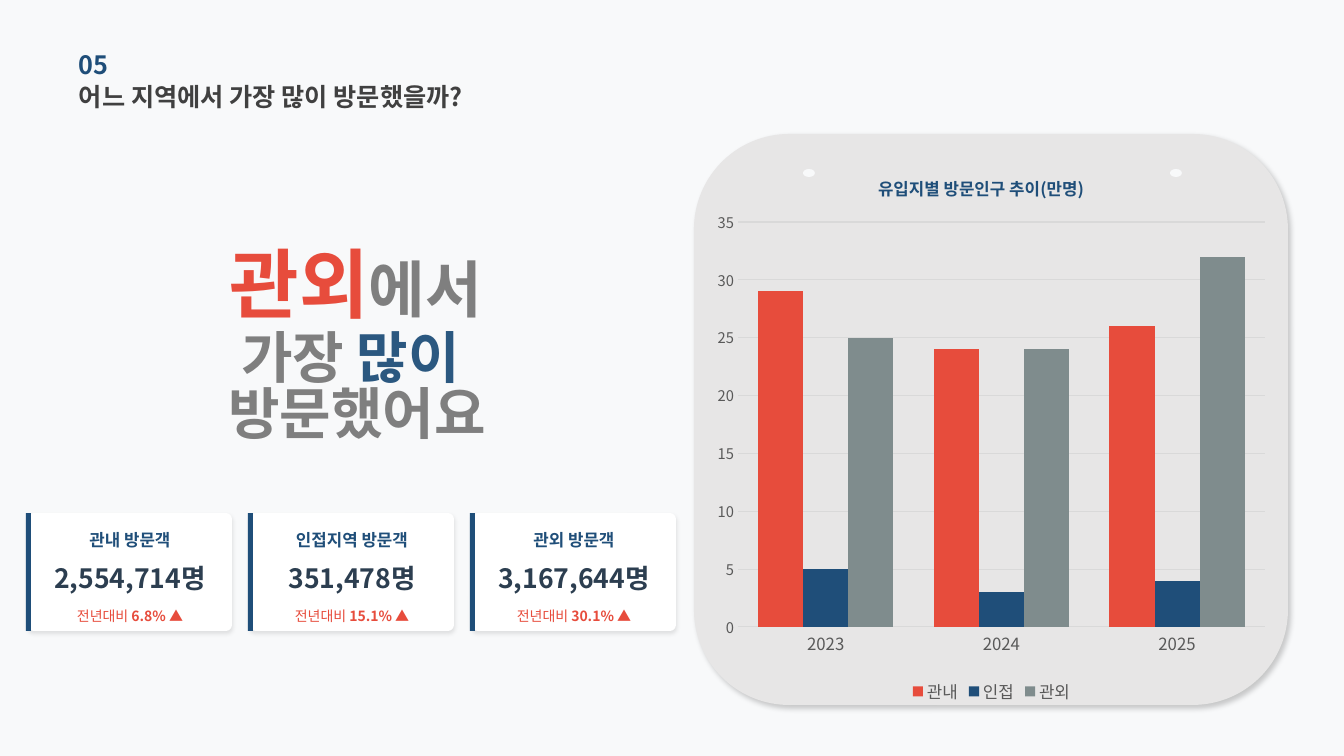
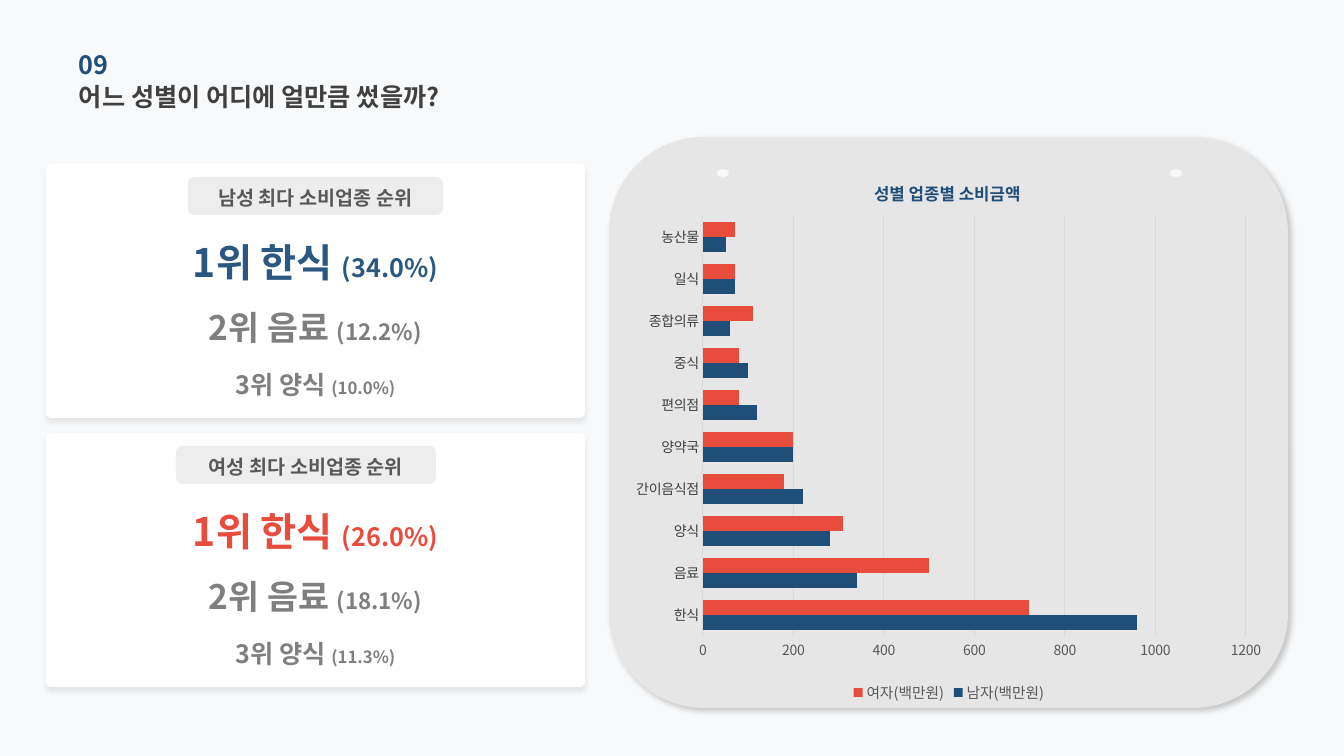
import pptx
import pptx.chart.data
import pptx.dml.color
import pptx.enum.chart
import pptx.enum.shapes
import pptx.enum.text
import pptx.oxml
import pptx.oxml.ns
import pptx.util

RGB = pptx.dml.color.RGBColor
SHAPE = pptx.enum.shapes.MSO_SHAPE
ALIGN = pptx.enum.text.PP_ALIGN
CHART = pptx.enum.chart.XL_CHART_TYPE
Pt = pptx.util.Pt
qn = pptx.oxml.ns.qn

PX = 914400 / 100.8
FONT = "Noto Sans CJK KR"
BACKGROUND = RGB(0xF8, 0xF9, 0xFA)
PANEL = RGB(0xE7, 0xE6, 0xE6)
WHITE = RGB(0xFF, 0xFF, 0xFF)
PILL = RGB(0xEE, 0xED, 0xED)
NAVY = RGB(0x1F, 0x4E, 0x79)
BLUE = RGB(0x2B, 0x58, 0x80)
RED = RGB(0xE7, 0x4C, 0x3C)
SLATE = RGB(0x7F, 0x8C, 0x8D)
INK = RGB(0x2C, 0x3E, 0x50)
DARK = RGB(0x40, 0x40, 0x40)
TEXT = RGB(0x59, 0x59, 0x59)
GRAY = RGB(0x7F, 0x7F, 0x7F)
GRID = RGB(0xD9, 0xD9, 0xD9)


def add_shape(s, kind, x, y, w, h, fill, corner=None, shadow=None):
    """Lengths in px; shadow is opacity in %, blur and distance in pt, angle."""
    sp = s.shapes.add_shape(kind, *(round(v * PX) for v in (x, y, w, h)))
    sp.fill.solid()
    sp.fill.fore_color.rgb = fill
    sp.line.fill.background()
    sp.shadow.inherit = False
    if corner is not None:
        sp.adjustments[0] = corner
    if shadow:
        opacity, blur, distance, angle = shadow
        sp.element.spPr.find(qn("a:effectLst")).append(pptx.oxml.parse_xml(
            f'<a:outerShdw {pptx.oxml.ns.nsdecls("a")} blurRad="{Pt(blur)}" '
            f'dist="{Pt(distance)}" dir="{angle * 60000}" algn="tl" rotWithShape="0">'
            f'<a:srgbClr val="000000"><a:alpha val="{opacity * 1000}"/></a:srgbClr>'
            '</a:outerShdw>'))
    return sp


def add_text(s, x, y, w, h, *lines, align=ALIGN.CENTER, spacing=None):
    """Each line is a list of runs: (text, size, colour) or (..., bold)."""
    tf = s.shapes.add_textbox(*(round(v * PX) for v in (x, y, w, h))).text_frame
    tf.word_wrap = True
    tf.margin_left = tf.margin_right = tf.margin_top = tf.margin_bottom = 0
    tf.vertical_anchor = pptx.enum.text.MSO_ANCHOR.MIDDLE
    for i, line in enumerate(lines):
        p = tf.add_paragraph() if i else tf.paragraphs[0]
        p.alignment = align
        p.line_spacing = spacing
        for text, size, color, *bold in line:
            r = p.add_run()
            r.text = text
            r.font.name = FONT
            r.font.size = Pt(size)
            r.font.color.rgb = color
            r.font.bold = bold[0] if bold else True


SLIDES = [
    dict(number="05", title="어느 지역에서 가장 많이 방문했을까?",
         panel=(694, 134, 594, 571), holes=803,
         kind=CHART.COLUMN_CLUSTERED, frame=(706, 149, 571, 559),
         plot=(738, 222, 527, 405), heading="유입지별 방문인구 추이(만명)", heading_at=(875, 170),
         top=35, step=5, gap=90, sizes=(12, 10.5, 12), label_color=TEXT,
         categories=["2023", "2024", "2025"],
         series=[("관내", RED, (29, 24, 26)),
                 ("인접", NAVY, (5, 3, 4)),
                 ("관외", SLATE, (25, 24, 32))]),
    dict(number="09", title="어느 성별이 어디에 얼만큼 썼을까?",
         panel=(609, 137, 679, 571), holes=717,
         kind=CHART.BAR_CLUSTERED, frame=(624, 153, 650, 554),
         plot=(703, 216, 543, 420), heading="성별 업종별 소비금액", heading_at=(871, 175),
         top=1200, step=200, gap=80, sizes=(10, 10, 10.5), label_color=DARK,
         categories=["한식", "음료", "양식", "간이음식점", "양약국",
                     "편의점", "중식", "종합의류", "일식", "농산물"],
         series=[("남자(백만원)", NAVY, (960, 340, 280, 220, 200, 120, 100, 60, 70, 50)),
                 ("여자(백만원)", RED, (720, 500, 310, 180, 200, 80, 80, 110, 70, 70))]),
]

prs = pptx.Presentation()
prs.slide_width = round(1344 * PX)
prs.slide_height = round(756 * PX)
roots = []

# Shared frame: heading, grey panel and chart
for d in SLIDES:
    s = prs.slides.add_slide(prs.slide_layouts[6])
    s.background.fill.solid()
    s.background.fill.fore_color.rgb = BACKGROUND
    add_shape(s, SHAPE.ROUNDED_RECTANGLE, *d["panel"], PANEL, shadow=(20, 4, 3, 45))
    add_text(s, 79, 76, 532, 41, [(d["title"], 18, DARK)], align=ALIGN.LEFT)
    add_text(s, 79, 44, 456, 41, [(d["number"], 18, NAVY)], align=ALIGN.LEFT)
    for x in (d["holes"], 1170):
        add_shape(s, SHAPE.OVAL, x, 169, 12, 8, BACKGROUND)

    data = pptx.chart.data.CategoryChartData()
    data.categories = d["categories"]
    for name, _, values in d["series"]:
        data.add_series(name, values)
    chart = s.shapes.add_chart(d["kind"], *(round(v * PX) for v in d["frame"]), data).chart
    chart.font.name = FONT
    chart.font.size = Pt(10)
    category_size, value_size, legend_size = d["sizes"]

    p = chart.chart_title.text_frame.paragraphs[0]
    r = p.add_run()
    r.text = d["heading"]
    r.font.name = FONT
    r.font.size = Pt(12)
    r.font.bold = True
    r.font.color.rgb = NAVY

    chart.has_legend = True
    chart.legend.position = pptx.enum.chart.XL_LEGEND_POSITION.BOTTOM
    chart.legend.include_in_layout = False
    labels = [(chart.legend, legend_size, TEXT),
              (chart.category_axis.tick_labels, category_size, d["label_color"]),
              (chart.value_axis.tick_labels, value_size, TEXT)]
    for part, size, color in labels:
        part.font.name = FONT
        part.font.size = Pt(size)
        part.font.color.rgb = color

    for axis in (chart.category_axis, chart.value_axis):
        axis.major_tick_mark = axis.minor_tick_mark = pptx.enum.chart.XL_TICK_MARK.NONE
    value_axis = chart.value_axis
    value_axis.minimum_scale = 0
    value_axis.maximum_scale = d["top"]
    value_axis.major_unit = d["step"]
    value_axis.format.line.fill.background()
    for line in (value_axis.major_gridlines.format.line, chart.category_axis.format.line):
        line.color.rgb = GRID
        line.width = Pt(0.75)

    plot = chart.plots[0]
    plot.gap_width = d["gap"]
    plot.overlap = 0
    plot.vary_by_categories = False
    for series, (_, color, _) in zip(plot.series, d["series"]):
        series.format.fill.solid()
        series.format.fill.fore_color.rgb = color
        series.invert_if_negative = False

    # Pin the title and the inner plot area as fractions of the chart frame
    left, top, width, height = d["frame"]
    for tag, (x, y, *size) in (("c:title", d["heading_at"]), ("c:plotArea", d["plot"])):
        values = [("x", (x - left) / width), ("y", (y - top) / height)]
        if size:
            values += [("w", size[0] / width), ("h", size[1] / height)]
        target = '<c:layoutTarget val="inner"/>' if size else ""
        layout = pptx.oxml.parse_xml(
            f'<c:layout {pptx.oxml.ns.nsdecls("c")}><c:manualLayout>{target}'
            '<c:xMode val="edge"/><c:yMode val="edge"/>'
            + "".join(f'<c:{k} val="{v:.4f}"/>' for k, v in values)
            + '</c:manualLayout></c:layout>')
        parent = next(chart.element.iter(qn(tag)))
        for old in parent.findall(qn("c:layout")):
            parent.remove(old)
        parent.insert(1 if tag == "c:title" else 0, layout)
    roots += [s.element, chart.element]

visits, spending = prs.slides

# Visitors: headline and three cards
add_text(visits, 140, 258, 432, 48, [("관외", 54, RED), ("에서", 44, GRAY)])
add_text(visits, 79, 347, 556, 85,
         [("가장", 40, GRAY), (" 많이 ", 40, BLUE)], [("방문했어요", 40, GRAY)], spacing=0.83)
CARDS = [("관내 방문객", "2,554,714명", "6.8% ▲"),
         ("인접지역 방문객", "351,478명", "15.1% ▲"),
         ("관외 방문객", "3,167,644명", "30.1% ▲")]
for i, (label, count, change) in enumerate(CARDS):
    x = 28 + 222 * i
    add_shape(visits, SHAPE.ROUNDED_RECTANGLE, x, 513, 204, 118, WHITE, 0.05, (10, 3, 2, 90))
    add_shape(visits, SHAPE.RECTANGLE, x - 2, 513, 5, 118, NAVY)
    add_text(visits, x, 529, 204, 22, [(label, 12, NAVY)])
    add_text(visits, x, 561, 204, 34, [(count, 19, INK)])
    add_text(visits, x, 606, 204, 20, [("전년대비 ", 10, RED, False), (change, 10, RED)])

# Spending: one ranking panel for each sex
RANKINGS = [("남성 최다 소비업종 순위", BLUE, (188, 255), ("34.0%", "12.2%", "10.0%")),
            ("여성 최다 소비업종 순위", RED, (176, 260), ("26.0%", "18.1%", "11.3%"))]
ROWS = [("1위 한식 ", 28, 18, 98), ("2위 음료 ", 24, 16, 163), ("3위 양식 ", 18, 12, 220)]
for i, (heading, accent, (pill_x, pill_w), shares) in enumerate(RANKINGS):
    y = 164 + 269 * i
    add_shape(spending, SHAPE.ROUNDED_RECTANGLE, 46, y, 539, 254, WHITE, 0.02, (8, 4, 3, 90))
    add_shape(spending, SHAPE.ROUNDED_RECTANGLE, pill_x, y + 13, pill_w, 38, PILL)
    add_text(spending, pill_x, y + 13, pill_w, 41, [(heading, 14, TEXT)])
    for rank, ((name, size, share_size, center), share) in enumerate(zip(ROWS, shares)):
        color = GRAY if rank else accent
        add_text(spending, 46, y + center - 24, 539, 48,
                 [(name, size, color), (f"({share})", share_size, color)])

# Korean text takes its typeface from the East Asian font slot
for root in roots:
    for latin in list(root.iter(qn("a:latin"))):
        latin.addnext(pptx.oxml.parse_xml(
            f'<a:ea {pptx.oxml.ns.nsdecls("a")} typeface="{FONT}"/>'))

prs.save("out.pptx")
